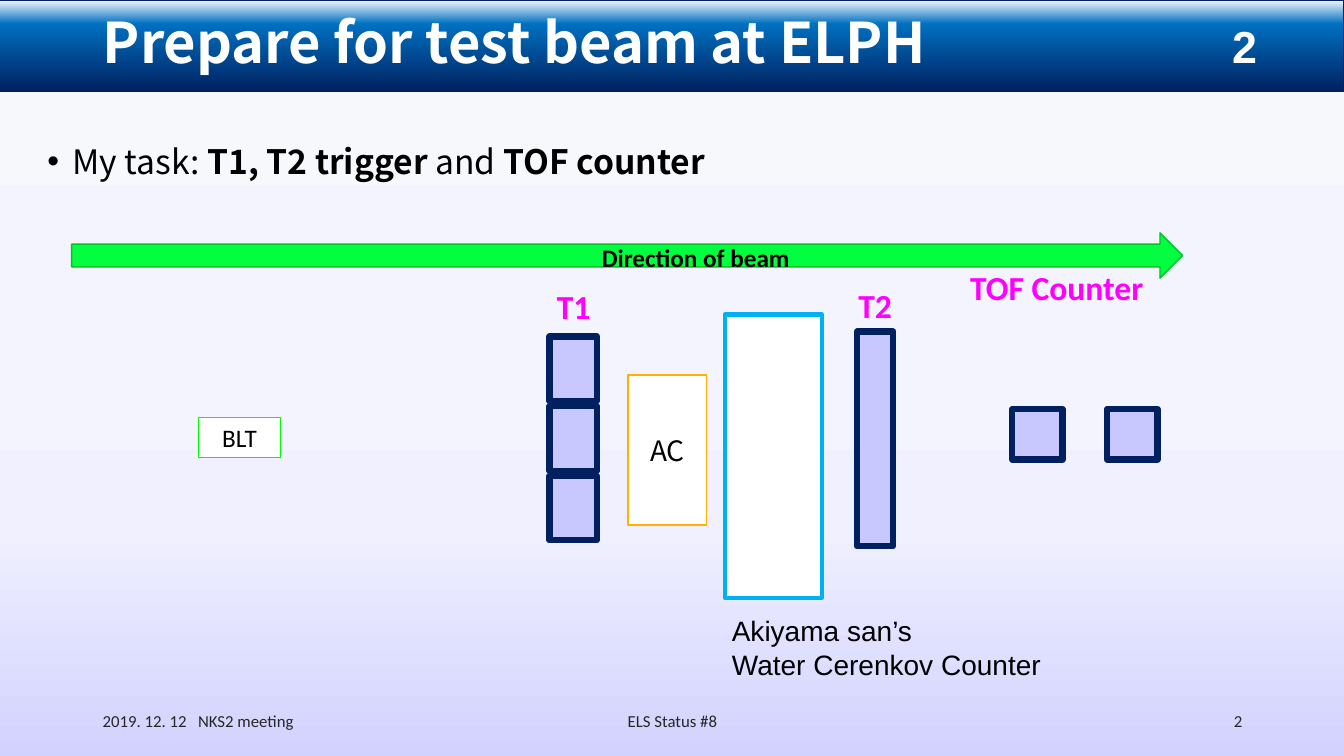
from lxml.etree import SubElement
from pptx import Presentation
from pptx.dml.color import RGBColor
from pptx.enum.shapes import MSO_SHAPE
from pptx.enum.text import MSO_ANCHOR, PP_ALIGN
from pptx.oxml.ns import qn
from pptx.util import Inches, Pt

COLORS = {
    "black": "000000", "white": "FFFFFF", "footer": "262626", "navy": "002060",
    "scintillator": "C8C8FF", "water": "00B0F0", "label": "FF00FF",
    "beam": "00FF40", "beam_edge": "00C420", "aerogel": "FFB000", "tracker": "00FF00",
}
BACKGROUND_STOPS = [(0, "F6F8FC"), (49, "F3F4FE"), (70, "F0F0FF"), (100, "D2D2FF")]
HEADER_STOPS = [(0, "F6F8FC"), (26, "0070C0"), (100, "002060")]
HEADING_FONT, LABEL_FONT, PLAIN_FONT = "Noto Sans CJK JP", "Calibri", "Arial"
LEFT, CENTER, RIGHT = PP_ALIGN.LEFT, PP_ALIGN.CENTER, PP_ALIGN.RIGHT
HEADER_HEIGHT = 0.91

TITLE = "Prepare for test beam at ELPH"
TASK = [("My task: ", False), ("T1, T2 trigger", True), (" and ", False), ("TOF counter", True)]
PAGE = "2"
FOOTERS = [  # text, left, width, alignment
    ("2019. 12. 12   NKS2 meeting", 0.92, 3, LEFT),
    ("ELS Status #8", 4.42, 4.5, CENTER),
    (PAGE, 9.42, 3, RIGHT),
]
DETECTOR_LABELS = [  # text, left, top, width
    ("T1", 5.32, 2.79, 0.74),
    ("T2", 8.31, 2.78, 0.74),
    ("TOF Counter", 9.22, 2.6, 2.52),
]
T1_BOXES = [(5.45, 3.34 + 0.69 * row, 0.47, 0.64) for row in range(3)]
T2_BOX = (8.5, 3.29, 0.36, 2.13)
TOF_BOXES = [(10.04 + 0.94 * column, 4.06, 0.5, 0.5) for column in range(2)]
WATER_CAPTION = ["Akiyama san’s", "Water Cerenkov Counter"]


def color(name):
    return RGBColor.from_string(COLORS[name])


def apply_gradient(fill, element, stops):
    """Top-to-bottom gradient with any number of stops."""
    fill.gradient()
    gradient = element.find(".//" + qn("a:gradFill"))
    stop_list = gradient.find(qn("a:gsLst"))
    for old_stop in list(stop_list):
        stop_list.remove(old_stop)
    for position, hex_color in stops:
        stop = SubElement(stop_list, qn("a:gs"), pos=str(position * 1000))
        SubElement(stop, qn("a:srgbClr"), val=hex_color)
    gradient.find(qn("a:lin")).set("ang", "5400000")


def place(shape, box):
    shape.left, shape.top, shape.width, shape.height = map(Inches, box)


def style(paragraph, size, font, font_color="black", bold=False, align=LEFT):
    paragraph.alignment = align
    paragraph.font.size = Pt(size)
    paragraph.font.name = font
    paragraph.font.bold = bold
    paragraph.font.color.rgb = color(font_color)


def write(shape, lines, *text_style, anchor=MSO_ANCHOR.TOP, **options):
    frame = shape.text_frame
    frame.word_wrap = True
    frame.vertical_anchor = anchor
    frame.text = "\n".join(lines)
    for paragraph in frame.paragraphs:
        style(paragraph, *text_style, **options)


def add_text(slide, box, lines, *text_style, **options):
    write(slide.shapes.add_textbox(*map(Inches, box)), lines, *text_style, **options)


def add_box(slide, box, fill, line, line_width, kind=MSO_SHAPE.RECTANGLE):
    shape = slide.shapes.add_shape(kind, *map(Inches, box))
    shape.shadow.inherit = False
    shape.fill.solid()
    shape.fill.fore_color.rgb = color(fill)
    shape.line.color.rgb = color(line)
    shape.line.width = Pt(line_width)
    return shape


def add_header(slide):
    title = slide.shapes.title
    place(title, (0.92, 0, 11.5, HEADER_HEIGHT))
    write(title, [TITLE], 40, HEADING_FONT, "white", bold=True, anchor=MSO_ANCHOR.MIDDLE)
    title.text_frame.paragraphs[0].line_spacing = 0.9
    band = add_box(slide, (0, 0, 13.33, HEADER_HEIGHT), "navy", "navy", 0.75)
    apply_gradient(band.fill, band.element, HEADER_STOPS)
    title.element.addprevious(band.element)  # behind the title
    add_text(slide, (11.36, 0, 1.97, HEADER_HEIGHT), [PAGE], 32, PLAIN_FONT, "white",
             bold=True, align=CENTER, anchor=MSO_ANCHOR.MIDDLE)


def add_task(slide):
    body = slide.placeholders[1]
    place(body, (0.37, 1.39, 12.6, 5.43))
    paragraph = body.text_frame.paragraphs[0]
    properties = paragraph._p.get_or_add_pPr()
    properties.set("marL", str(Inches(0.25)))
    properties.set("indent", str(-Inches(0.25)))
    SubElement(properties, qn("a:buFont"), typeface=PLAIN_FONT)
    SubElement(properties, qn("a:buChar"), char="•")
    style(paragraph, 24, HEADING_FONT)
    paragraph.line_spacing = 0.9
    paragraph.space_before = Pt(0)
    for text, bold in TASK:
        run = paragraph.add_run()
        run.text = text
        run.font.bold = bold


def add_setup(slide):
    # Detectors along the beam line
    add_box(slide, (7.19, 3.12, 0.96, 2.81), "white", "water", 3)
    for box in [*T1_BOXES, T2_BOX, *TOF_BOXES]:
        add_box(slide, box, "scintillator", "navy", 4.5)
    aerogel = add_box(slide, (6.23, 3.72, 0.78, 1.49), "white", "aerogel", 1)
    write(aerogel, ["AC"], 20, HEADING_FONT, align=CENTER, anchor=MSO_ANCHOR.MIDDLE)
    tracker = add_box(slide, (1.97, 4.14, 0.81, 0.4), "white", "tracker", 0.75)
    write(tracker, ["BLT"], 18, LABEL_FONT, align=CENTER, anchor=MSO_ANCHOR.MIDDLE)

    # Labels
    for text, left, top, width in DETECTOR_LABELS:
        add_text(slide, (left, top, width, 0.5), [text], 24, LABEL_FONT, "label",
                 bold=True, align=CENTER)
    add_text(slide, (7.16, 6.04, 3.47, 0.77), WATER_CAPTION, 20, PLAIN_FONT)

    # Beam arrow
    add_box(slide, (0.71, 2.31, 11.02, 0.45), "beam", "beam_edge", 1, MSO_SHAPE.RIGHT_ARROW)
    add_text(slide, (5.87, 2.35, 2.19, 0.4), ["Direction of beam"], 18, LABEL_FONT, bold=True)


def main():
    presentation = Presentation()
    presentation.slide_width, presentation.slide_height = Inches(13.33), Inches(7.5)
    slide = presentation.slides.add_slide(presentation.slide_layouts[1])
    apply_gradient(slide.background.fill, slide.element, BACKGROUND_STOPS)
    add_header(slide)
    add_task(slide)
    for text, left, width, align in FOOTERS:
        add_text(slide, (left, 6.95, width, 0.4), [text], 12, LABEL_FONT, "footer",
                 align=align, anchor=MSO_ANCHOR.MIDDLE)
    add_setup(slide)
    presentation.save("out.pptx")


if __name__ == "__main__":
    main()
